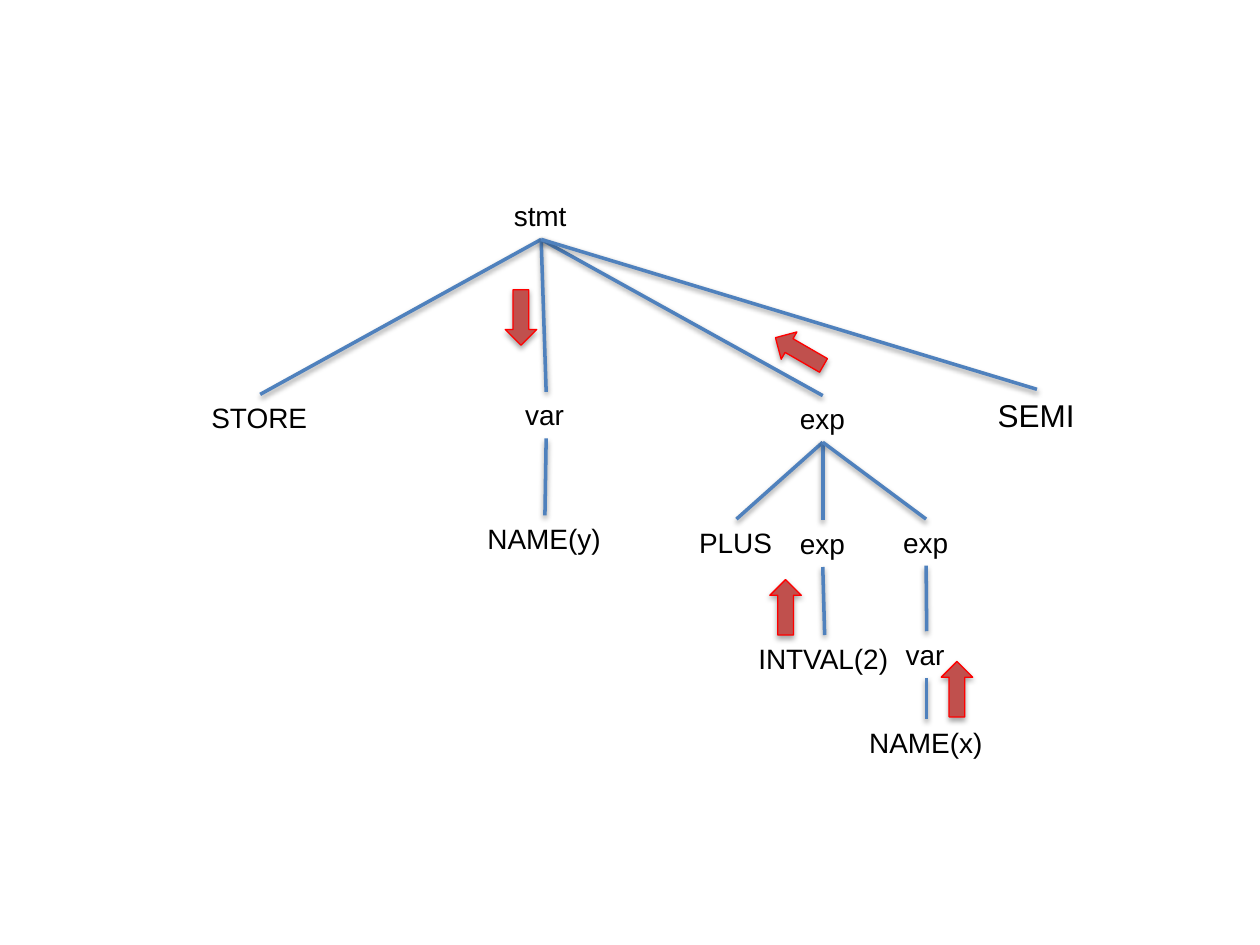
from collections import namedtuple

from lxml import etree
from pptx import Presentation
from pptx.dml.color import RGBColor
from pptx.enum.shapes import MSO_CONNECTOR as CONN, MSO_SHAPE as SHAPE
from pptx.enum.text import MSO_AUTO_SIZE as AUTO, PP_ALIGN as ALIGN
from pptx.oxml.ns import qn
from pptx.util import Inches, Pt

Node = namedtuple("Node", "label x y w parent size", defaults=[16])

# The slide is a grid of 100 columns by 75 rows
COLS, ROWS = 100, 75
CELL = Inches(0.1)
TREE_BOX = (15, 15)  # left column and top row of the parse tree

# Centre column, top row and width in the tree box, then the parent's key
NODES = {
    "stmt": Node("stmt", 27.95, 0.3, 6.3, None),
    "store": Node("STORE", 5.65, 16.3, 9.7, "stmt"),
    "target": Node("var", 28.35, 16.1, 5.3, "stmt"),
    "sum": Node("exp", 50.3, 16.4, 5.6, "stmt"),
    "semi": Node("SEMI", 67.3, 15.9, 8.2, "stmt", 18),
    "name_y": Node("NAME(y)", 28.25, 25.9, 11.1, "target"),
    "plus": Node("PLUS", 43.45, 26.2, 7.9, "sum"),
    "left": Node("exp", 50.3, 26.3, 5.6, "sum"),
    "right": Node("exp", 58.5, 26.2, 5.6, "sum"),
    "intval": Node("INTVAL(2)", 50.45, 35.4, 12.5, "left"),
    "source": Node("var", 58.55, 35.1, 5.3, "right"),
    "name_x": Node("NAME(x)", 58.55, 42.1, 11.1, "source"),
}

# Centre column, centre row, shape and rotation of the value-flow arrows
FLOWS = [
    (60.95, 39.7, SHAPE.UP_ARROW, 0),
    (47.35, 33.2, SHAPE.UP_ARROW, 0),
    (48.45, 12.9, SHAPE.UP_ARROW, 300),
    (26.35, 10.2, SHAPE.DOWN_ARROW, 0),
]


def rgb(color):
    return RGBColor.from_string(color)


def grid(n):
    return int(n * CELL)


def add_shadow(sp, dist, alpha):
    """Give a shape or connector a soft shadow straight below it."""
    effects = etree.SubElement(sp._element.spPr, qn("a:effectLst"))
    outer = etree.SubElement(
        effects, qn("a:outerShdw"), blurRad=str(Pt(3.1)), dist=str(Pt(dist)),
        dir="5400000", rotWithShape="0")
    black = etree.SubElement(outer, qn("a:srgbClr"), val="000000")
    etree.SubElement(black, qn("a:alpha"), val=str(alpha * 1000))


def node_height(node):
    return 4 if node.size > 16 else 3.7


def add_label(slide, box, node):
    left, top = box
    sp = slide.shapes.add_textbox(
        grid(left + node.x - node.w / 2), grid(top + node.y),
        grid(node.w), grid(node_height(node)))
    tf = sp.text_frame
    tf.word_wrap = False
    tf.auto_size = AUTO.SHAPE_TO_FIT_TEXT
    tf.text = node.label
    p = tf.paragraphs[0]
    p.alignment = ALIGN.LEFT
    font = p.runs[0].font
    font.name, font.size = "Arial", Pt(node.size)
    font.color.rgb = rgb("000000")


def add_edge(slide, box, parent, child):
    left, top = box
    line = slide.shapes.add_connector(
        CONN.STRAIGHT,
        grid(left + parent.x), grid(top + parent.y + node_height(parent)),
        grid(left + child.x), grid(top + child.y))
    line.line.color.rgb = rgb("4F81BD")
    line.line.width = Pt(2)
    add_shadow(line, 1.6, 38)


def add_flow(slide, box, x, y, kind, rotation, w=2.5, h=4.4):
    left, top = box
    sp = slide.shapes.add_shape(
        kind, grid(left + x - w / 2), grid(top + y - h / 2), grid(w), grid(h))
    sp.rotation = rotation
    sp.fill.solid()
    sp.fill.fore_color.rgb = rgb("C0504D")
    sp.line.color.rgb = rgb("FF0000")
    sp.line.width = Pt(0.75)
    add_shadow(sp, 1.8, 35)


def add_tree(slide, box):
    # Labels
    for node in NODES.values():
        add_label(slide, box, node)
    # Edges from each parent to its children
    for node in NODES.values():
        if node.parent:
            add_edge(slide, box, NODES[node.parent], node)
    # Value-flow arrows
    for flow in FLOWS:
        add_flow(slide, box, *flow)


def main():
    prs = Presentation()
    prs.slide_width, prs.slide_height = grid(COLS), grid(ROWS)
    slide = prs.slides.add_slide(prs.slide_layouts[6])
    add_tree(slide, TREE_BOX)
    prs.save("out.pptx")


if __name__ == "__main__":
    main()
